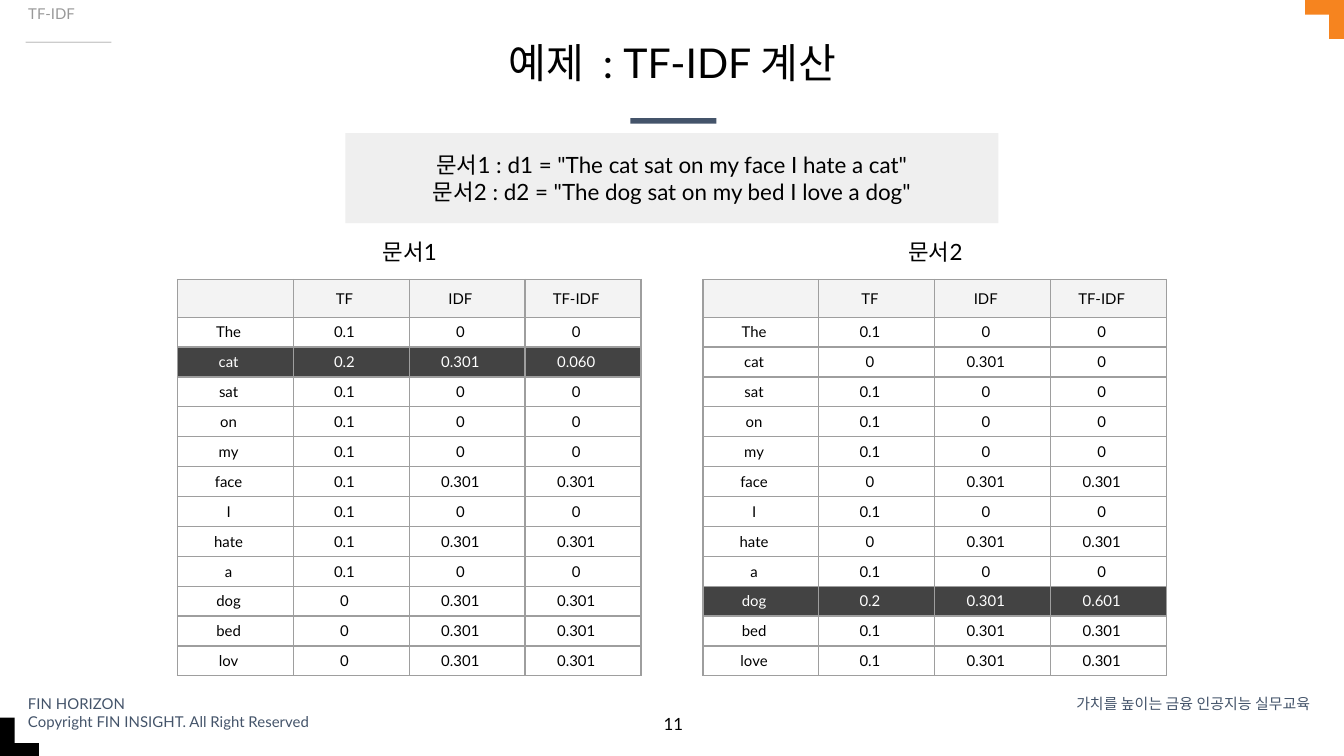
"""Build the TF-IDF worked example slide."""
from lxml import etree
from pptx import Presentation
from pptx.dml.color import RGBColor
from pptx.enum.shapes import MSO_SHAPE
from pptx.enum.text import MSO_ANCHOR, MSO_AUTO_SIZE, PP_ALIGN
from pptx.oxml.ns import qn
from pptx.util import Inches, Pt

LEFT, MID, RIGHT = PP_ALIGN.LEFT, PP_ALIGN.CENTER, PP_ALIGN.RIGHT
TOP, CENTER = MSO_ANCHOR.TOP, MSO_ANCHOR.MIDDLE
NONE, RECT = MSO_AUTO_SIZE.NONE, MSO_SHAPE.RECTANGLE

THEME = {
    "font": "Lato",
    "title": 22, "body": 12, "page": 9, "small": 8,
    "ink": "000000", "white": "FFFFFF", "navy": "44546A", "gray": "999999",
    "rule": "CCCCCC", "orange": "F6841F", "panel": "EFEFEF",
    "head": "F3F3F3", "mark": "434343", "grid": "9E9E9E",
}

TITLE = "예제  : TF-IDF 계산"
TOPIC = "TF-IDF"
DOCS = [
    '문서1 : d1 = "The cat sat on my face I hate a cat"',
    '문서2 : d2 = "The dog sat on my bed I love a dog"',
]
HEAD = ("", "TF", "IDF", "TF-IDF")
TABLES = [
    {"name": "문서1", "left": 1.32, "label": 2.61, "mark": "cat", "rows": [
        ("The", "0.1", "0", "0"),
        ("cat", "0.2", "0.301", "0.060"),
        ("sat", "0.1", "0", "0"),
        ("on", "0.1", "0", "0"),
        ("my", "0.1", "0", "0"),
        ("face", "0.1", "0.301", "0.301"),
        ("I", "0.1", "0", "0"),
        ("hate", "0.1", "0.301", "0.301"),
        ("a", "0.1", "0", "0"),
        ("dog", "0", "0.301", "0.301"),
        ("bed", "0", "0.301", "0.301"),
        ("lov", "0", "0.301", "0.301"),
    ]},
    {"name": "문서2", "left": 5.23, "label": 6.52, "mark": "dog", "rows": [
        ("The", "0.1", "0", "0"),
        ("cat", "0", "0.301", "0"),
        ("sat", "0.1", "0", "0"),
        ("on", "0.1", "0", "0"),
        ("my", "0.1", "0", "0"),
        ("face", "0", "0.301", "0.301"),
        ("I", "0.1", "0", "0"),
        ("hate", "0", "0.301", "0.301"),
        ("a", "0.1", "0", "0"),
        ("dog", "0.2", "0.301", "0.601"),
        ("bed", "0.1", "0.301", "0.301"),
        ("love", "0.1", "0.301", "0.301"),
    ]},
]
BARS = [
    ("navy", (4.69, 0.88, 0.64, 0.04)),
    ("rule", (0.19, 0.31, 0.64, 0.01)),
    ("ink", (0, 5.53, 0.29, 0.11)),
    ("ink", (0, 5.34, 0.11, 0.29)),
    ("orange", (9.71, 0, 0.29, 0.11)),
    ("orange", (9.89, 0, 0.11, 0.29)),
]
NOTES = [
    (["FIN HORIZON", "Copyright FIN INSIGHT. All Right Reserved"],
     (0.11, 5.12, 2.98, 0.27), "small", "navy", LEFT, 0.05),
    (["가치를 높이는 금융 인공지능 실무교육"],
     (7.76, 5.12, 2.09, 0.17), "small", "navy", RIGHT, 0.05),
    (["11"], (4.71, 5.21, 0.6, 0.43), "page", "ink", MID, 0.1),
]
TABLE_TOP, TABLE_WIDTH, HEAD_HIGH, ROWS_HIGH = 2.08, 3.45, 0.28, 2.67


def color(key):
    return RGBColor.from_string(THEME[key])


def paint(fill, key):
    fill.solid()
    fill.fore_color.rgb = color(key)


def write(frame, lines, size, ink, align, pad=(0.1, 0.1), anchor=TOP, space=None):
    frame.word_wrap = True
    frame.auto_size = NONE
    frame.vertical_anchor = anchor
    frame.margin_left = frame.margin_right = Inches(pad[0])
    frame.margin_top = frame.margin_bottom = Inches(pad[1])
    frame.text = "\n".join(lines)
    for para in frame.paragraphs:
        style(para, size, ink, align)
        para.line_spacing = space


def style(para, size, ink, align):
    para.alignment = align
    para.font.name = THEME["font"]
    para.font.size = Pt(THEME[size])
    para.font.color.rgb = color(ink)


def place(shape, box):
    shape.left, shape.top, shape.width, shape.height = map(Inches, box)


def add_bar(slide, key, box):
    bar = slide.shapes.add_shape(RECT, *map(Inches, box))
    bar.shadow.inherit = False
    paint(bar.fill, key)
    bar.line.fill.background()
    return bar


def add_note(slide, lines, box, size, ink, align, pad):
    note = slide.shapes.add_textbox(*map(Inches, box))
    write(note.text_frame, lines, size, ink, align, (0.1, pad))


def add_border(cell):
    props = cell._tc.get_or_add_tcPr()
    for side in ("lnL", "lnR", "lnT", "lnB"):
        line = etree.SubElement(props, qn("a:" + side), w=str(Pt(0.75)))
        fill = etree.SubElement(line, qn("a:solidFill"))
        etree.SubElement(fill, qn("a:srgbClr"), val=THEME["grid"])


def fill_cell(cell, text, fill, ink):
    cell.margin_left = cell.margin_top = cell.margin_bottom = 0
    cell.margin_right = Inches(0.1)
    cell.vertical_anchor = CENTER
    cell.text = text
    style(cell.text_frame.paragraphs[0], "small", ink, MID)
    add_border(cell)
    if fill:
        paint(cell.fill, fill)
    else:
        cell.fill.background()


def add_grid(slide, data):
    rows = [HEAD] + data["rows"]
    box = (data["left"], TABLE_TOP, TABLE_WIDTH, HEAD_HIGH + ROWS_HIGH)
    grid = slide.shapes.add_table(len(rows), len(HEAD), *map(Inches, box)).table
    grid.first_row = grid.horz_banding = False
    for col in grid.columns:
        col.width = Inches(TABLE_WIDTH / len(HEAD))
    for r, row in enumerate(rows):
        high = ROWS_HIGH / len(data["rows"]) if r else HEAD_HIGH
        grid.rows[r].height = Inches(high)
        mark = row[0] == data["mark"]
        fill = "mark" if mark else None if r else "head"
        for c, text in enumerate(row):
            fill_cell(grid.cell(r, c), text, fill, "white" if mark else "ink")


def main():
    deck = Presentation()
    deck.slide_width = Inches(10)
    deck.slide_height = deck.slide_width * 9 // 16
    slide = deck.slides.add_slide(deck.slide_layouts[0])
    title, topic = slide.placeholders
    place(title, (0.52, 0.3, 8.97, 0.4))
    write(title.text_frame, [TITLE], "title", "ink", MID, (0.04, 0.02), space=0.9)
    place(topic, (0.11, 0, 3.3, 0.4))
    write(topic.text_frame, [TOPIC], "small", "gray", LEFT, (0.1, 0.05), space=0.9)
    for key, box in BARS:
        add_bar(slide, key, box)
    panel = add_bar(slide, "panel", (2.57, 0.99, 4.86, 0.67))
    write(panel.text_frame, DOCS, "body", "ink", MID, anchor=CENTER)
    for data in TABLES:
        add_grid(slide, data)
        add_note(slide, [data["name"]], (data["label"], 1.67, 0.88, 0.4),
                 "body", "ink", MID, 0.1)
    for note in NOTES:
        add_note(slide, *note)
    deck.save("out.pptx")


if __name__ == "__main__":
    main()
